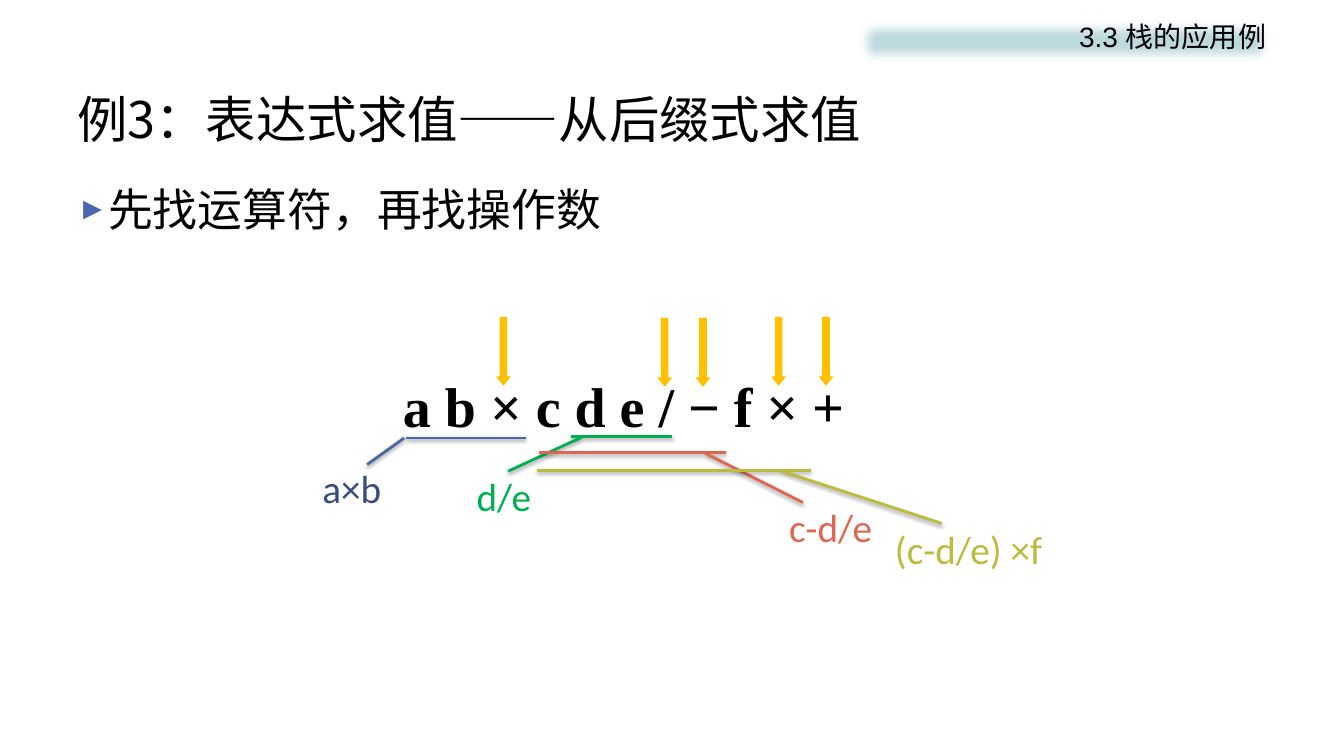
from dataclasses import dataclass

import lxml.etree
import pptx
import pptx.dml.color
import pptx.enum.shapes
import pptx.enum.text
import pptx.oxml.ns
import pptx.util

Pt = pptx.util.Pt
Shapes = pptx.enum.shapes.MSO_SHAPE
Align = pptx.enum.text.PP_ALIGN
Anchor = pptx.enum.text.MSO_ANCHOR
qn = pptx.oxml.ns.qn


@dataclass(frozen=True)
class Theme:
    ink: str = "000000"
    header_band: str = "BDDADF"
    arrow: str = "FFC000"
    blue: str = "4A66AC"
    dark_blue: str = "384C81"
    green: str = "00B050"
    red: str = "DD6851"
    olive: str = "B9BC3E"
    title_size: float = 36
    body_size: float = 32
    header_size: float = 20
    expression_size: float = 40
    label_size: float = 28
    chinese_font: str = "Noto Sans CJK SC"
    body_font: str = "Arial"
    label_font: str = "Calibri"
    expression_font: str = "Times New Roman"


@dataclass(frozen=True)
class Area:
    left: float
    top: float
    width: float
    height: float

    def lengths(self) -> tuple:
        return Pt(self.left), Pt(self.top), Pt(self.width), Pt(self.height)


@dataclass(frozen=True)
class Style:
    font: str
    size: float
    color: str
    bold: bool = False


@dataclass(frozen=True)
class Step:
    """One evaluated subexpression: its underline with leader, and its label."""
    text: str
    line_color: str
    text_color: str
    callout: Area
    adjustments: tuple
    label: Area


THEME = Theme()
ARROW_WIDTH, ARROW_HEIGHT = 9.36, 48.24
ARROWS = [(354.96, 226.8), (470.16, 227.52), (497.52, 227.52),
          (551.52, 226.8), (585.36, 226.8)]
LABEL_HEIGHT = 41.04
STEPS = [
    Step("a×b", THEME.blue, THEME.dark_blue, Area(305.28, 236.88, 55.44, 85.68),
         (-0.017, -0.098, -0.326, -0.44), Area(223.2, 328.32, 70.56, LABEL_HEIGHT)),
    Step("d/e", THEME.green, THEME.green, Area(416.16, 243.36, 55.44, 72.72),
         (0.119, -0.083, -0.613, -0.526), Area(333.36, 334.08, 70.56, LABEL_HEIGHT)),
    Step("c-d/e", THEME.red, THEME.red, Area(424.8, 226.08, 54, 133.2),
         (0.885, -0.069, 1.414, -0.727), Area(556.56, 355.68, 89.28, LABEL_HEIGHT)),
    Step("(c-d/e) ×f", THEME.olive, THEME.olive, Area(453.6, 206.64, 55.44, 195.84),
         (0.885, -0.069, 1.477, -0.75), Area(632.16, 371.52, 133.2, LABEL_HEIGHT)),
]


def rgb(color: str) -> pptx.dml.color.RGBColor:
    return pptx.dml.color.RGBColor.from_string(color)


def add_element(parent, tag: str, **attributes: str):
    element = lxml.etree.SubElement(parent, qn(tag))
    for name, value in attributes.items():
        element.set(name, value)
    return element


def effect_list(shape):
    shape.shadow.inherit = False
    return shape._element.spPr.find(qn("a:effectLst"))


def write(shape, text: str, style: Style, align=Align.LEFT, anchor=Anchor.TOP,
          wrap: bool = True, grow: bool = False):
    frame = shape.text_frame
    frame.word_wrap = wrap
    frame.vertical_anchor = anchor
    if grow:
        frame.auto_size = pptx.enum.text.MSO_AUTO_SIZE.SHAPE_TO_FIT_TEXT
    para = frame.paragraphs[0]
    para.alignment = align
    span = para.add_run()
    span.text = text
    span.font.size = Pt(style.size)
    span.font.bold = style.bold
    span.font.color.rgb = rgb(style.color)
    span.font.name = style.font
    add_element(span._r.get_or_add_rPr(), "a:ea", typeface=THEME.chinese_font)
    return para


def add_text(page, area: Area, text: str, style: Style, **options):
    box = page.shapes.add_textbox(*area.lengths())
    return write(box, text, style, **options)


def add_bullet(para) -> None:
    properties = para._p.get_or_add_pPr()
    properties.set("marL", str(Pt(20)))
    properties.set("indent", str(Pt(-20)))
    add_element(add_element(properties, "a:buClr"), "a:srgbClr", val=THEME.blue)
    add_element(properties, "a:buSzPct", val="70000")
    add_element(properties, "a:buFont", typeface=THEME.body_font)
    add_element(properties, "a:buChar", char="►")


def add_header(page) -> None:
    band = page.shapes.add_shape(Shapes.RECTANGLE, *Area(609.12, 10.08, 302.4, 38.88).lengths())
    band.fill.solid()
    band.fill.fore_color.rgb = rgb(THEME.header_band)
    band.line.fill.background()
    add_element(effect_list(band), "a:softEdge", rad="112500")
    write(band, "3.3 栈的应用例", Style(THEME.body_font, THEME.header_size, THEME.ink),
          align=Align.RIGHT)


def add_arrow(page, left: float, top: float) -> None:
    area = Area(left, top, ARROW_WIDTH, ARROW_HEIGHT)
    arrow = page.shapes.add_shape(Shapes.DOWN_ARROW, *area.lengths())
    arrow.adjustments[0] = 0.5
    arrow.adjustments[1] = 0.625
    arrow.shadow.inherit = False
    arrow.fill.solid()
    arrow.fill.fore_color.rgb = rgb(THEME.arrow)
    arrow.line.color.rgb = rgb(THEME.arrow)
    arrow.line.width = Pt(0.75)


def add_step(page, step: Step) -> None:
    callout = page.shapes.add_shape(Shapes.LINE_CALLOUT_1_ACCENT_BAR, *step.callout.lengths())
    callout.rotation = 270
    for index, value in enumerate(step.adjustments):
        callout.adjustments[index] = value
    callout.fill.background()
    callout.line.color.rgb = rgb(step.line_color)
    callout.line.width = Pt(2)
    shadow = add_element(effect_list(callout), "a:outerShdw", blurRad=str(Pt(3.1)),
                         dist=str(Pt(1.6)), dir="5400000", rotWithShape="0")
    shade = add_element(shadow, "a:srgbClr", val=THEME.ink)
    add_element(shade, "a:alpha", val="38000")
    add_text(page, step.label, step.text,
             Style(THEME.label_font, THEME.label_size, step.text_color), grow=True)


def main() -> None:
    deck = pptx.Presentation()
    deck.slide_width, deck.slide_height = Pt(960), Pt(540)
    page = deck.slides.add_slide(deck.slide_layouts[6])

    # Title, bullet and section header
    add_text(page, Area(48, 57.6, 864, 54), "例3：表达式求值——从后缀式求值",
             Style(THEME.chinese_font, THEME.title_size, THEME.ink), anchor=Anchor.MIDDLE)
    add_bullet(add_text(page, Area(48, 126, 864, 70.56), "先找运算符，再找操作数",
                        Style(THEME.body_font, THEME.body_size, THEME.ink)))
    add_header(page)

    # Postfix expression
    add_text(page, Area(280.8, 262.08, 331.2, 55.44), "a b × c d e / − f × +",
             Style(THEME.expression_font, THEME.expression_size, THEME.ink, bold=True),
             wrap=False, grow=True)

    # Operator arrows and the operands each one takes
    for left, top in ARROWS:
        add_arrow(page, left, top)
    for step in STEPS:
        add_step(page, step)

    deck.save("out.pptx")


if __name__ == "__main__":
    main()
